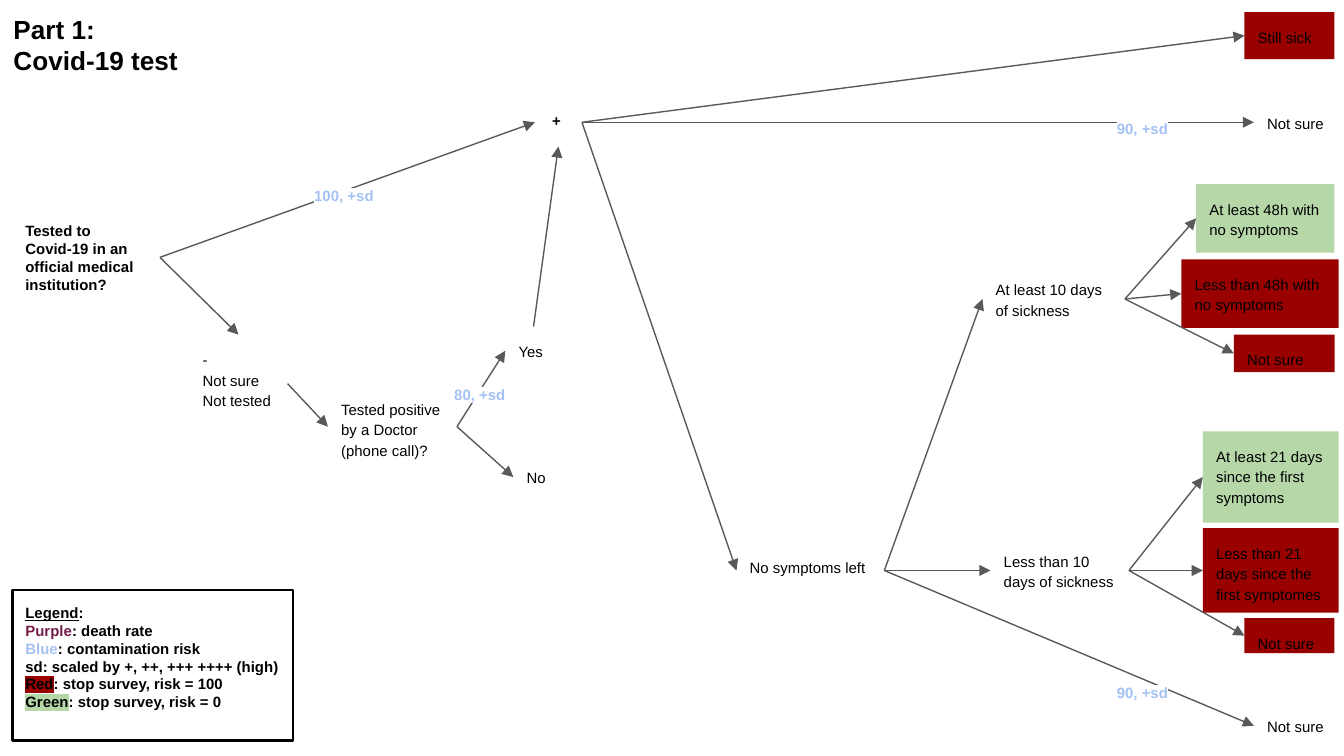
from dataclasses import dataclass

from lxml import etree
from pptx import Presentation
from pptx.dml.color import RGBColor
from pptx.enum.shapes import MSO_CONNECTOR, MSO_SHAPE
from pptx.enum.text import MSO_ANCHOR, MSO_AUTO_SIZE, PP_ALIGN
from pptx.oxml.ns import qn
from pptx.util import Inches, Pt

RECTANGLE = MSO_SHAPE.RECTANGLE
STRAIGHT = MSO_CONNECTOR.STRAIGHT
TOP_ANCHOR = MSO_ANCHOR.TOP
FIXED_SIZE = MSO_AUTO_SIZE.NONE
LEFT_ALIGN, RIGHT_ALIGN = PP_ALIGN.LEFT, PP_ALIGN.RIGHT
TOP, LEFT, BOTTOM, RIGHT = range(4)

BLACK, WHITE, GREY = "000000", "FFFFFF", "595959"
RED, GREEN, BLUE, PURPLE = "990000", "B6D7A8", "A4C2F4", "741B47"
FONT = "Arial"


@dataclass
class Span:
    text: str
    color: str = BLACK
    bold: bool = False
    underline: bool = False
    highlight: str = ""
    size: int = 8


@dataclass
class Node:
    key: str
    area: tuple[float, float, float, float]
    lines: list[str]
    fill: str = ""
    bold: bool = False
    spacing: float = 1.15


@dataclass
class Arrow:
    start: str
    end: str
    start_side: int = RIGHT
    end_side: int = LEFT


@dataclass
class Risk:
    text: str
    left: float
    top: float


NODES = [
    Node("tested", (0.09, 1.55, 1.1, 0.73),
         ["Tested to Covid-19 in an official medical institution?"], bold=True, spacing=1),
    Node("positive", (3.98, 0.73, 0.35, 0.36), [" +"], bold=True, spacing=1),
    Node("negative", (1.41, 2.49, 0.73, 0.73), ["- \nNot sure", "Not tested"], WHITE),
    Node("doctor", (2.44, 2.86, 0.96, 0.63), ["Tested positive by a Doctor (phone call)?"]),
    Node("yes", (3.76, 2.43, 0.42, 0.36), ["Yes"]),
    Node("no", (3.82, 3.37, 0.42, 0.36), ["No"]),
    Node("still sick", (9.26, 0.09, 0.67, 0.35), ["Still sick"], RED),
    Node("unsure sick", (9.33, 0.73, 0.67, 0.36), ["Not sure"]),
    Node("no symptoms", (5.48, 4.04, 1.1, 0.41), ["No symptoms left"], WHITE),
    Node("10 days", (7.31, 1.97, 1.06, 0.51), ["At least 10 days of sickness"], WHITE),
    Node("under 10 days", (7.37, 3.99, 1.03, 0.51), ["Less than 10 days of sickness"]),
    Node("unsure days", (9.33, 5.22, 0.67, 0.36), ["Not sure"]),
    Node("48h", (8.9, 1.37, 1.03, 0.51), ["At least 48h with no symptoms"], GREEN),
    Node("under 48h", (8.79, 1.93, 1.17, 0.51), ["Less than 48h with no symptoms"], RED),
    Node("unsure 48h", (9.18, 2.49, 0.75, 0.28), ["Not sure"], RED),
    Node("21 days", (8.95, 3.21, 1.01, 0.68),
         ["At least 21 days since the first symptoms"], GREEN),
    Node("under 21 days", (8.95, 3.93, 1.01, 0.63),
         ["Less than 21 days since the first symptomes"], RED),
    Node("unsure 21 days", (9.26, 4.6, 0.67, 0.26), ["Not sure"], RED),
]

BRANCHES = {
    "tested": ["positive"],
    "negative": ["doctor"],
    "doctor": ["yes", "no"],
    "positive": ["still sick", "unsure sick", "no symptoms"],
    "no symptoms": ["10 days", "under 10 days", "unsure days"],
    "10 days": ["48h", "under 48h", "unsure 48h"],
    "under 10 days": ["21 days", "under 21 days", "unsure 21 days"],
}
ARROWS = [Arrow(start, end) for start, ends in BRANCHES.items() for end in ends] + [
    Arrow("tested", "negative", end_side=TOP),
    Arrow("yes", "positive", TOP, BOTTOM),
]

RISKS = [
    Risk("100, +sd", 2.14, 1.23),
    Risk("80, +sd", 3.12, 2.71),
    Risk("90, +sd", 8.05, 0.73),
    Risk("90, +sd", 8.05, 4.93),
]

LEGEND = [
    [Span("Legend", bold=True, underline=True), Span(":", bold=True)],
    [Span("Purple", PURPLE, True), Span(": death rate", bold=True)],
    [Span("Blue", BLUE, True), Span(": contamination risk", bold=True)],
    [Span("sd: scaled by +, ++, +++ ++++ (high)", bold=True)],
    [Span("Red", bold=True, highlight=RED), Span(": stop survey, risk = 100", bold=True)],
    [Span("Green", bold=True, highlight=GREEN), Span(": stop survey, risk = 0", bold=True)],
]


def rgb(value: str) -> RGBColor:
    return RGBColor.from_string(value)


def add_span(para, span: Span) -> None:
    for index, part in enumerate(span.text.split("\n")):
        if index:
            para.add_line_break()
        run = para.add_run()
        run.text = part
        font = run.font
        font.size, font.bold, font.name = Pt(span.size), span.bold, FONT
        font.underline = span.underline
        font.color.rgb = rgb(span.color)
        if span.highlight:
            mark = etree.Element(qn("a:highlight"))
            etree.SubElement(mark, qn("a:srgbClr"), val=span.highlight)
            font._element.find(qn("a:solidFill")).addnext(mark)


def write(box, paragraphs: list[list[Span]], spacing: float = 1, align=LEFT_ALIGN) -> None:
    frame = box.text_frame
    frame.word_wrap = True
    frame.auto_size = FIXED_SIZE
    frame.vertical_anchor = TOP_ANCHOR
    frame.margin_left = frame.margin_right = Inches(0.1)
    frame.margin_top = frame.margin_bottom = Inches(0.1)
    for index, spans in enumerate(paragraphs):
        para = frame.add_paragraph() if index else frame.paragraphs[0]
        para.alignment = align
        para.line_spacing = spacing
        para.space_before = Pt(0)
        for span in spans:
            add_span(para, span)


def add_rectangle(page, area: tuple[float, float, float, float], fill: str = ""):
    box = page.shapes.add_shape(RECTANGLE, *map(Inches, area))
    box.shadow.inherit = False
    if fill:
        box.fill.solid()
        box.fill.fore_color.rgb = rgb(fill)
    else:
        box.fill.background()
    box.line.fill.background()
    return box


def add_node(page, node: Node):
    if node.fill:
        box = add_rectangle(page, node.area, node.fill)
    else:
        box = page.shapes.add_textbox(*map(Inches, node.area))
    write(box, [[Span(line, bold=node.bold)] for line in node.lines], node.spacing)
    return box


def add_arrow(page, arrow: Arrow, boxes: dict) -> None:
    line = page.shapes.add_connector(STRAIGHT, 0, 0, 0, 0)
    line.begin_connect(boxes[arrow.start], arrow.start_side)
    line.end_connect(boxes[arrow.end], arrow.end_side)
    line.line.color.rgb = rgb(GREY)
    line.line.width = Pt(0.75)
    etree.SubElement(line.line._get_or_add_ln(), qn("a:tailEnd"), type="triangle")
    etree.SubElement(line._element.spPr, qn("a:effectLst"))


def add_risk(page, risk: Risk) -> None:
    box = page.shapes.add_textbox(*map(Inches, (risk.left, risk.top, 0.74, 0.36)))
    write(box, [[Span(risk.text, BLUE, True, highlight=WHITE)]], 1.43, RIGHT_ALIGN)


def main() -> None:
    deck = Presentation()
    deck.slide_width = Inches(10)
    deck.slide_height = deck.slide_width * 9 // 16
    page = deck.slides.add_slide(deck.slide_layouts[5])
    title = page.shapes.title
    title.left, title.top, title.width, title.height = map(Inches, (0, 0, 1.57, 0.93))
    write(title, [[Span(line, bold=True, size=14)] for line in ("Part 1:", "Covid-19 test")])
    boxes = {node.key: add_node(page, node) for node in NODES}
    for arrow in ARROWS:
        add_arrow(page, arrow, boxes)
    for risk in RISKS:
        add_risk(page, risk)
    legend = add_rectangle(page, (0.09, 4.39, 2.09, 1.12))
    legend.line.color.rgb = rgb(BLACK)
    legend.line.width = Pt(1.5)
    write(legend, LEGEND)
    deck.save("out.pptx")


if __name__ == "__main__":
    main()
